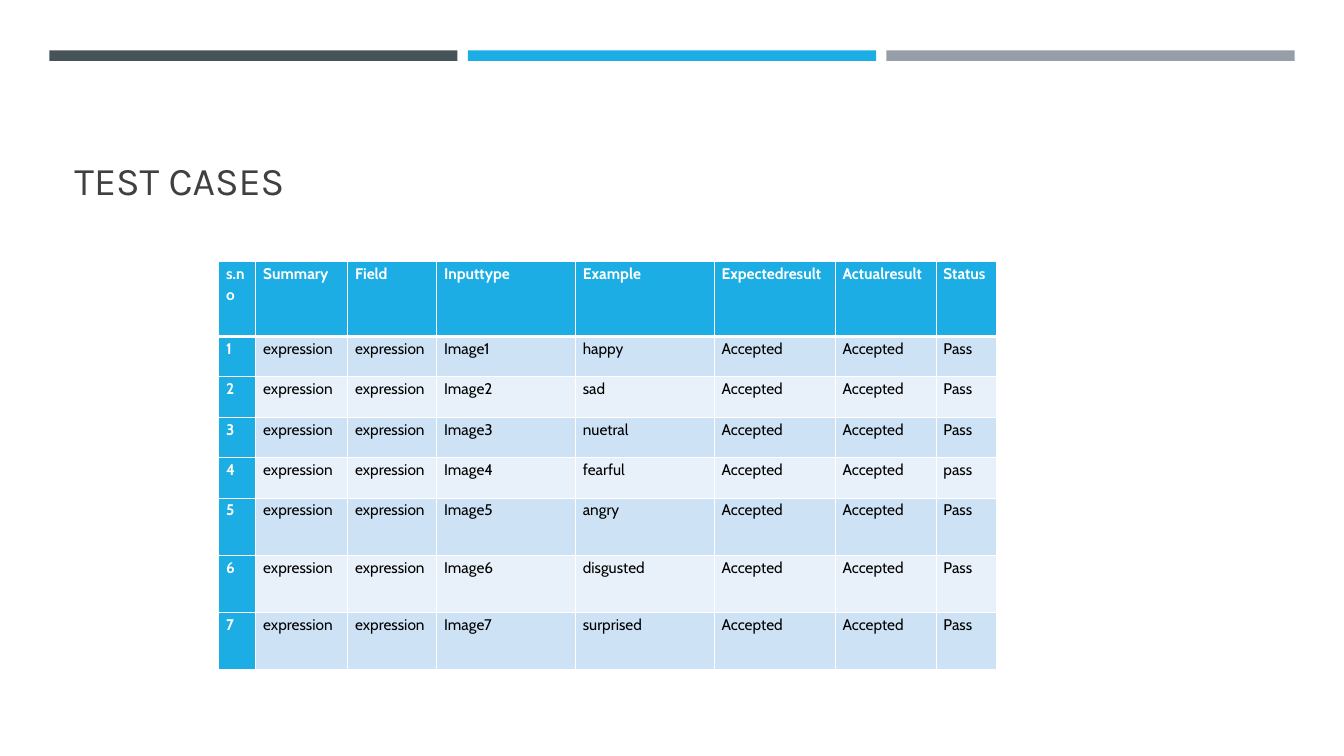
from dataclasses import dataclass

from lxml import etree
from pptx import Presentation
from pptx.dml.color import RGBColor
from pptx.enum.shapes import MSO_SHAPE
from pptx.enum.text import MSO_ANCHOR, PP_ALIGN
from pptx.oxml.ns import qn
from pptx.util import Pt

RECTANGLE = MSO_SHAPE.RECTANGLE
BOTTOM = MSO_ANCHOR.BOTTOM
TOP = MSO_ANCHOR.TOP
LEFT = PP_ALIGN.LEFT


@dataclass(frozen=True)
class Theme:
    slate: str = "465359"
    blue: str = "1CADE4"
    grey: str = "969FA7"
    title_color: str = "404040"
    white: str = "FFFFFF"
    black: str = "000000"
    bands: tuple = ("CDE3F5", "E8F1FA")
    title_font: str = "Karla"
    table_font: str = "Cabin"
    title_size: int = 28
    table_size: int = 11
    border: int = 1
    header_border: int = 3


class SlideBuilder:
    def __init__(self, slide, theme):
        self.slide = slide
        self.theme = theme

    def style_text(self, para, font, size, color, bold=False):
        para.alignment = LEFT
        for span in para.runs:
            span.font.name = font
            span.font.size = Pt(size)
            span.font.bold = bold
            span.font.color.rgb = RGBColor.from_string(color)

    def title(self, text, left, top, width, height):
        box = self.slide.shapes.title
        box.left, box.top, box.width, box.height = map(Pt, (left, top, width, height))
        frame = box.text_frame
        frame.text = text
        frame.vertical_anchor = BOTTOM
        self.style_text(frame.paragraphs[0], self.theme.title_font,
                        self.theme.title_size, self.theme.title_color)

    def bar(self, color, left, top, width, height):
        shape = self.slide.shapes.add_shape(RECTANGLE, *map(Pt, (left, top, width, height)))
        shape.shadow.inherit = False
        shape.fill.solid()
        shape.fill.fore_color.rgb = RGBColor.from_string(color)
        shape.line.fill.background()

    def cell_borders(self, cell, top, bottom):
        """Draw white borders; they must precede the fill in the cell properties."""
        properties = cell._tc.get_or_add_tcPr()
        side = self.theme.border
        widths = {"lnL": side, "lnR": side, "lnT": top, "lnB": bottom}
        for index, (tag, width) in enumerate(widths.items()):
            line = etree.Element(qn(f"a:{tag}"), w=str(Pt(width)))
            fill = etree.SubElement(line, qn("a:solidFill"))
            etree.SubElement(fill, qn("a:srgbClr"), val=self.theme.white)
            properties.insert(index, line)

    def cell(self, cell, text, fill, color, bold):
        cell.fill.solid()
        cell.fill.fore_color.rgb = RGBColor.from_string(fill)
        cell.margin_left = cell.margin_right = Pt(5.2)
        cell.margin_top = cell.margin_bottom = 0
        cell.vertical_anchor = TOP
        cell.text = text
        para = cell.text_frame.paragraphs[0]
        para.line_spacing = 1.15
        para.space_after = Pt(10)
        self.style_text(para, self.theme.table_font, self.theme.table_size, color, bold)

    def table(self, rows, left, top, column_widths, row_heights):
        theme = self.theme
        frame = self.slide.shapes.add_table(
            len(rows), len(column_widths), Pt(left), Pt(top),
            Pt(sum(column_widths)), Pt(sum(row_heights)))
        table = frame.table
        table.first_col = True
        for column, width in zip(table.columns, column_widths):
            column.width = Pt(width)
        for row, height in zip(table.rows, row_heights):
            row.height = Pt(height)
        for r, values in enumerate(rows):
            for c, text in enumerate(values):
                heading = r == 0 or c == 0
                fill = theme.blue if heading else theme.bands[(r - 1) % 2]
                color = theme.white if heading else theme.black
                cell = table.cell(r, c)
                self.cell(cell, text, fill, color, heading)
                self.cell_borders(cell,
                                  theme.header_border if r == 1 else theme.border,
                                  theme.header_border if r == 0 else theme.border)


def main():
    deck = Presentation()
    deck.slide_width, deck.slide_height = Pt(960), Pt(540)
    theme = Theme()
    page = SlideBuilder(deck.slides.add_slide(deck.slide_layouts[5]), theme)

    bar_width, bar_pitch = 291.6, 299
    for index, color in enumerate((theme.slate, theme.blue, theme.grey)):
        page.bar(color, 35.2 + index * bar_pitch, 36, bar_width, 7.5)

    page.title("TEST CASES", 46, 55.4, 868.3, 93.6)

    header = ["s.no", "Summary", "Field", "Inputtype", "Example",
              "Expectedresult", "Actualresult", "Status"]
    examples = ["happy", "sad", "nuetral", "fearful", "angry", "disgusted", "surprised"]
    rows = [header]
    for number, example in enumerate(examples, 1):
        status = "pass" if example == "fearful" else "Pass"
        rows.append([str(number), "expression", "expression", f"Image{number}",
                     example, "Accepted", "Accepted", status])
    page.table(rows, 156.3, 186.8,
               column_widths=[26.5, 65.7, 63.6, 99.1, 99.1, 86.4, 72.1, 43.5],
               row_heights=[53.5] + [28.9] * 4 + [40.8] * 3)

    deck.save("out.pptx")


if __name__ == "__main__":
    main()
